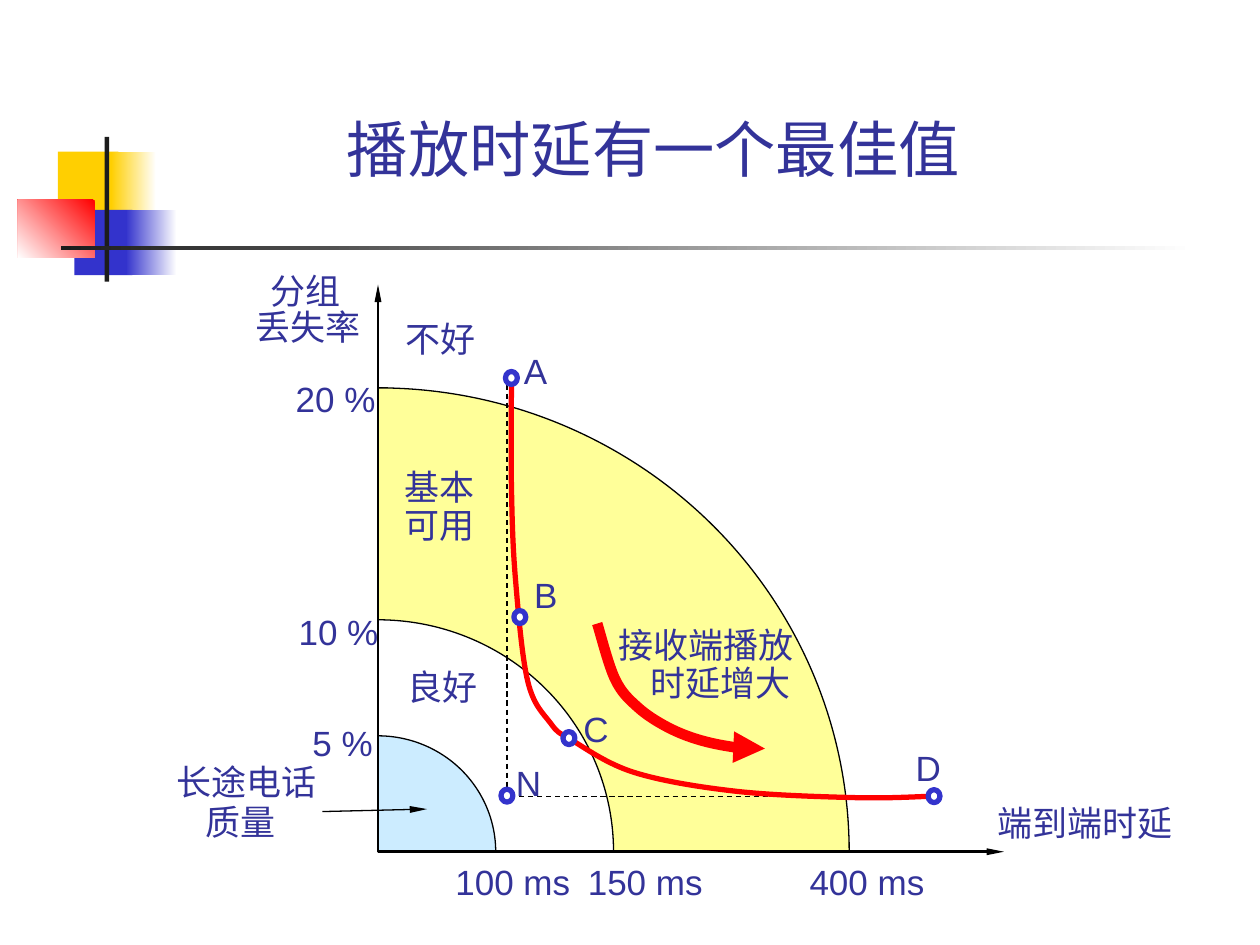
import pptx
import pptx.dml.color
import pptx.enum.dml
import pptx.enum.shapes
import pptx.enum.text
import pptx.oxml.ns
import pptx.util
from lxml import etree

Cm, Pt = pptx.util.Cm, pptx.util.Pt
RGB = pptx.dml.color.RGBColor
SHAPE = pptx.enum.shapes.MSO_SHAPE
qn = pptx.oxml.ns.qn

INK = RGB(0x33, 0x33, 0x99)
BLUE = RGB(0x33, 0x33, 0xCC)
GOLD = RGB(0xFF, 0xCF, 0x01)
RED = RGB(0xFF, 0, 0)
DARK = RGB(0x1C, 0x1C, 0x1C)
BLACK = RGB(0, 0, 0)
WHITE = RGB(0xFF, 0xFF, 0xFF)
YELLOW = RGB(0xFF, 0xFF, 0x99)
PALE_BLUE = RGB(0xCC, 0xEC, 0xFF)

LATIN, CJK = "Arial", "Noto Sans CJK SC"
NARROW_HEAD = {"w": "sm", "len": "lg"}
PLAIN_HEAD = {"w": "med", "len": "med"}

# Knots of the curves, in cm from the top left of the plot box
TRADE_OFF = [(2.69, 1.96), (2.69, 4.06), (2.77, 5.92), (3.02, 8), (3.48, 8.84),
             (3.89, 9.17), (5.16, 9.83), (7.21, 10.21), (9.65, 10.34), (11.2, 10.31)]
DELAY_GROWS = [(4.42, 6.83), (4.78, 7.95), (5.23, 8.51), (5.84, 8.92),
               (6.53, 9.19), (7.37, 9.35), (7.8, 9.35)]

# Quality zones: scale, fill, loss label (x, y, width), delay label (x)
ZONES = [
    (1, YELLOW, "20 %", -1.91, 1.75, 2.16, "400 ms", 8.45),
    (0.5, WHITE, "10 %", -1.85, 6.44, 2.16, "150 ms", 3.98),
    (0.25, PALE_BLUE, "5 %", -1.57, 8.69, 1.77, "100 ms", 1.31),
]
# Marked points: name, centre, label position
POINTS = [
    ("A", 2.69, 1.88, 2.69, 1.19),
    ("B", 2.86, 6.7, 2.9, 5.69),
    ("C", 3.85, 9.14, 3.89, 8.39),
    ("D", 11.21, 10.31, 10.59, 9.19),
    ("N", 2.6, 10.3, 2.53, 9.48),
]
# Captions: lines with their indents, x, y, width, line spacing
CAPTIONS = [
    ([("分组", 0.3), ("丢失率", 0)], -2.72, -0.3, 2.64, 0.85),
    ([("端到端时延", 0)], 12.24, 10.29, 4.06, 1),
    ([("良好", 0)], 0.35, 7.55, 1.95, 1),
    ([("基本", 0), ("可用", 0)], 0.28, 3.61, 1.95, 0.9),
    ([("不好", 0)], 0.3, 0.53, 1.95, 1),
    ([("长途电话", 0), ("质量", 0.6)], -4.32, 9.53, 3.35, 0.95),
    ([("接收端播放", 0), ("时延增大", 0.65)], 4.6, 6.81, 4.06, 0.9),
]


def add_run(p, text, size, latin=LATIN):
    r = p.add_run()
    r.text = text
    r.font.size = Pt(size)
    r.font.name = latin
    r.font.color.rgb = INK
    etree.SubElement(r.font._element, qn("a:ea"), typeface=CJK)


def add_label(s, lines, x, y, width, spacing=1):
    height = 0.25 + 0.87 * spacing * len(lines)
    tf = s.shapes.add_textbox(Cm(x), Cm(y), Cm(width), Cm(height)).text_frame
    tf.word_wrap = False
    tf.auto_size = pptx.enum.text.MSO_AUTO_SIZE.SHAPE_TO_FIT_TEXT
    for i, (line, indent) in enumerate(lines):
        p = tf.add_paragraph() if i else tf.paragraphs[0]
        p.line_spacing = spacing
        if indent:
            p._p.get_or_add_pPr().set("marL", str(Cm(indent)))
        add_run(p, line, 20)


def add_filled(s, kind, x, y, width, height, color):
    sp = s.shapes.add_shape(kind, Cm(x), Cm(y), Cm(width), Cm(height))
    sp.shadow.inherit = False
    sp.fill.solid()
    sp.fill.fore_color.rgb = color
    sp.line.fill.background()
    return sp


def set_line(sp, color, width, head=None):
    sp.line.color.rgb = color
    sp.line.width = Pt(width)
    if head:
        ln = sp.element.spPr.find(qn("a:ln"))
        etree.SubElement(ln, qn("a:tailEnd"), type="triangle", **head)


def add_line(s, x1, y1, x2, y2, width=0.75, head=None):
    line = s.shapes.add_connector(pptx.enum.shapes.MSO_CONNECTOR.STRAIGHT,
                                  Cm(x1), Cm(y1), Cm(x2), Cm(y2))
    set_line(line, BLACK, width, head)
    etree.SubElement(line.element.spPr, qn("a:effectLst"))


def add_path(s, points, left, top, color, width, head=None):
    points = [(Cm(left + x), Cm(top + y)) for x, y in points]
    builder = s.shapes.build_freeform(*points[0])
    builder.add_line_segments(points[1:], close=False)
    sp = builder.convert_to_shape()
    sp.shadow.inherit = False
    sp.fill.background()
    set_line(sp, color, width, head)
    return sp


def add_curve(s, knots, *style):
    """Smooth path through the knots, made of cubic Bezier segments."""
    ends = [knots[0], *knots, knots[-1]]
    points = [knots[0]]
    for a, b, c, d in zip(ends, ends[1:], ends[2:], ends[3:]):
        points.append(tuple(q + (r - p) / 6 for p, q, r in zip(a, b, c)))
        points.append(tuple(q - (r - p) / 6 for p, q, r in zip(b, c, d)))
        points.append(c)
    sp = add_path(s, points, *style)
    segments = list(sp.element.iter(qn("a:lnTo")))
    for i in range(0, len(segments), 3):
        bezier = etree.Element(qn("a:cubicBezTo"))
        segments[i].addprevious(bezier)
        for segment in segments[i:i + 3]:
            bezier.append(segment[0])
            segment.getparent().remove(segment)


def add_ornament(s, left, top):
    """Coloured squares with a cross of bars; a second colour makes a gradient."""
    parts = [
        (0.81, 0.3, 1.22, 1.32, GOLD, None, 0),
        (1.88, 0.3, 0.91, 1.32, WHITE, GOLD, 180),
        (1.14, 1.47, 1.17, 1.32, BLUE, None, 0),
        (2.18, 1.47, 1.02, 1.32, WHITE, BLUE, 180),
        (0, 1.27, 1.55, 1.17, RED, WHITE, 225),
        (1.75, 0, 0.09, 2.92, DARK, None, 0),
        (0.87, 2.2, 22.86, 0.09, WHITE, DARK, 180),
    ]
    for x, y, width, height, start, end, angle in parts:
        sp = add_filled(s, SHAPE.RECTANGLE, left + x, top + y, width, height, start)
        if end is not None:
            sp.fill.gradient()
            sp.fill.gradient_angle = angle
            for stop, color in zip(sp.fill.gradient_stops, (start, end)):
                stop.color.rgb = color


def set_title(s, text, left, top, width, height):
    sp = s.shapes.title
    sp.left, sp.top, sp.width, sp.height = Cm(left), Cm(top), Cm(width), Cm(height)
    tf = sp.text_frame
    tf.auto_size = pptx.enum.text.MSO_AUTO_SIZE.NONE
    tf.vertical_anchor = pptx.enum.text.MSO_ANCHOR.BOTTOM
    p = tf.paragraphs[0]
    p.alignment = pptx.enum.text.PP_ALIGN.CENTER
    add_run(p, text, 35, CJK)


def add_plot(s, left, top, width, height):
    """Loss against delay; the axes meet at the lower left of the box."""
    bottom, radius_x, radius_y, tick = top + height, 9.5, 9.35, 0.2
    for scale, *_ in ZONES:
        x, y = left + radius_x * scale, bottom - radius_y * scale
        add_line(s, x, bottom - tick, x, bottom)
        add_line(s, left + tick, y, left, y)
    for scale, fill, *_ in ZONES:
        rx, ry = radius_x * scale, radius_y * scale
        pie = add_filled(s, SHAPE.PIE, left - rx, bottom - ry, 2 * rx, 2 * ry, fill)
        pie.adjustments[0], pie.adjustments[1] = 162, 0  # 270 to 0 degrees
        set_line(pie, BLACK, 0.75)
    add_line(s, left, bottom, left, top, 1.5, NARROW_HEAD)
    add_line(s, left, bottom, left + width, bottom, 1.5, NARROW_HEAD)

    guide = add_path(s, [(2.6, 1.83), (2.6, 10.32), (11.18, 10.32)],
                     left, top, BLACK, 0.75)
    guide.line.dash_style = pptx.enum.dml.MSO_LINE.DASH
    add_curve(s, TRADE_OFF, left, top, RED, 3)

    for _, _, loss, x, y, loss_width, delay, delay_x in ZONES:
        add_label(s, [(loss, 0)], left + x, top + y, loss_width)
        add_label(s, [(delay, 0)], left + delay_x, bottom + 0.05, 2.84)
    for name, x, y, label_x, label_y in POINTS:
        dot = add_filled(s, SHAPE.OVAL, left + x - 0.12, top + y - 0.13, 0.24, 0.26, WHITE)
        set_line(dot, BLUE, 3)
        add_label(s, [(name, 0)], left + label_x, top + label_y, 1.02)
    for lines, x, y, *layout in CAPTIONS:
        add_label(s, lines, left + x, top + y, *layout)
    add_line(s, left - 1.12, top + 10.62, left + 0.99, top + 10.57, head=NARROW_HEAD)
    add_curve(s, DELAY_GROWS, left, top, RED, 6, PLAIN_HEAD)


def main():
    prs = pptx.Presentation()
    prs.slide_width, prs.slide_height = Cm(25.4), Cm(19.05)
    s = prs.slides.add_slide(prs.slide_layouts[5])
    add_ornament(s, 0.36, 2.76)
    set_title(s, "播放时延有一个最佳值", 3.03, 0.52, 20.29, 3.33)
    add_plot(s, 7.62, 5.74, 12.62, 11.43)
    prs.save("out.pptx")


if __name__ == "__main__":
    main()
